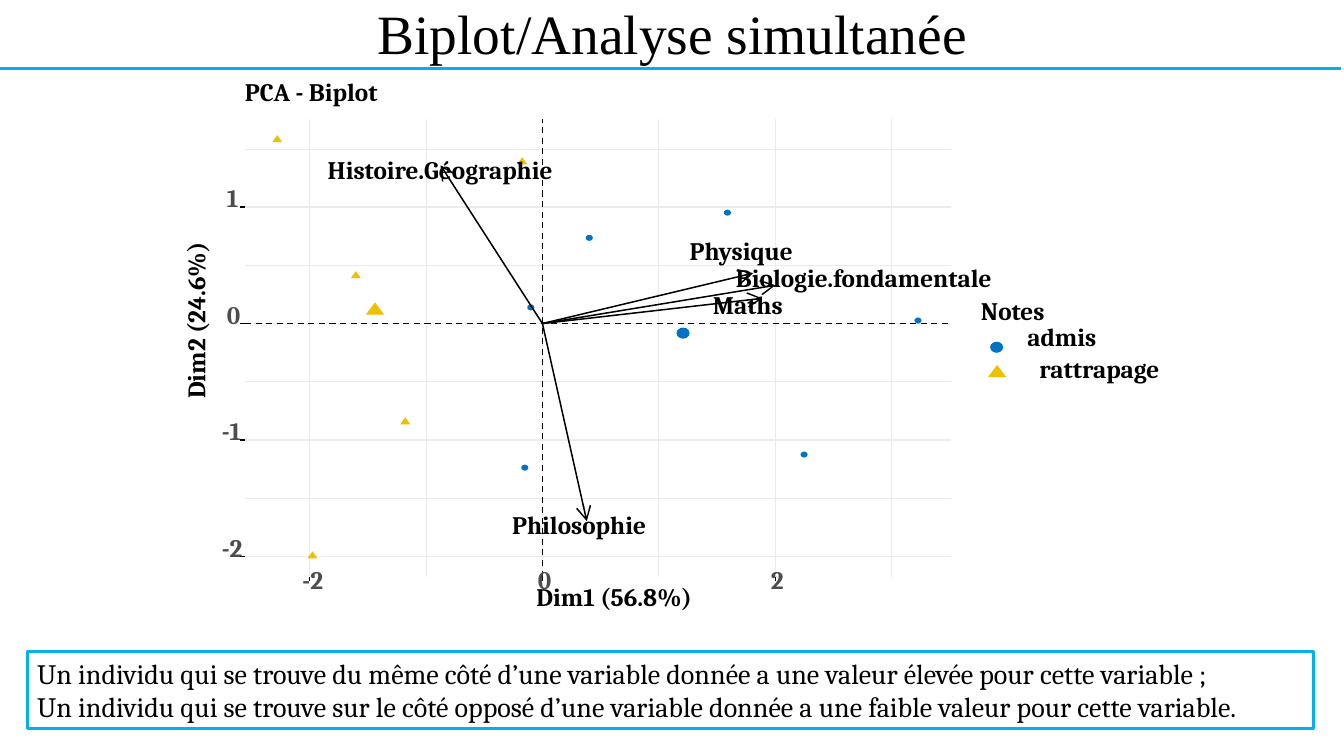
from lxml import etree
from pptx import Presentation
from pptx.dml.color import RGBColor
from pptx.enum.dml import MSO_LINE as Dash
from pptx.enum.shapes import MSO_CONNECTOR as Link, MSO_SHAPE as Shape
from pptx.enum.text import MSO_ANCHOR as Anchor, MSO_AUTO_SIZE as Fit, PP_ALIGN as Align
from pptx.oxml.ns import qn
from pptx.util import Emu, Pt

PX = 9144  # one px is a hundredth of an inch
BLACK, WHITE, GREY, GRID = "000000", "FFFFFF", "4D4D4D", "EBEBEB"
SKY, BLUE, GOLD = "00B0F0", "0073C2", "EFC000"

# Plot area, and the place of the value 0 with the length of one unit
LEFT, TOP, RIGHT, BASE = 243, 118, 943, 572
ZERO_X, ZERO_Y, UNIT = 538, 321, 115.5

# Left and top of each mark
ADMIS = [(718, 208), (907, 315), (794, 448), (581, 233), (517, 461), (523, 302)]
RATTRAPAGE = [(270, 134), (397, 414), (305, 547), (513, 156), (348, 269)]
DOT, BIG_DOT = (7, 6), (13, 11)
PEAK, BIG_PEAK = (10, 7), (18, 12)

TIPS = [(756, 296), (437, 164), (582, 517), (747, 271), (769, 283)]
SUBJECTS = [
    ("Maths", 707, 303, 57, 12),
    ("Histoire.Géographie", 325, 167, 185, 16),
    ("Philosophie", 508, 520, 108, 15),
    ("Physique", 684, 248, 86, 16),
    ("Biologie.fondamentale", 730, 274, 206, 16),
]
NOTE = [
    "Un individu qui se trouve du même côté d’une variable donnée a une valeur élevée pour cette variable ;",
    "Un individu qui se trouve sur le côté opposé d’une variable donnée a une faible valeur pour cette variable.",
]


def px(*nums):
    return [Emu(round(n * PX)) for n in nums]


def hue(code):
    return RGBColor.from_string(code)


def at_x(value):
    return ZERO_X + value * UNIT


def at_y(value):
    return ZERO_Y - value * UNIT


def style(para, size, name, color=BLACK, bold=False):
    for run in para.runs:
        font = run.font
        font.size, font.name, font.bold = Pt(size), name, bold
        font.color.rgb = hue(color)


def line(slide, x1, y1, x2, y2, color=BLACK, width=1.07, dash=False, arrow=False):
    link = slide.shapes.add_connector(Link.STRAIGHT, *px(x1, y1, x2, y2))
    link.line.color.rgb = hue(color)
    link.line.width = Pt(width)
    if dash:
        link.line.dash_style = Dash.DASH
    if arrow:
        etree.SubElement(link.line._get_or_add_ln(), qn("a:tailEnd"),
                         type="arrow", w="lg", len="lg")
    etree.SubElement(link._element.spPr, qn("a:effectLst"))


def block(slide, kind, x, y, w, h, fill, edge=None, width=0.75):
    item = slide.shapes.add_shape(kind, *px(x, y, w, h))
    item.shadow.inherit = False
    item.fill.solid()
    item.fill.fore_color.rgb = hue(fill)
    if edge:
        item.line.color.rgb = hue(edge)
        item.line.width = Pt(width)
    else:
        item.line.fill.background()
    return item


def dot(slide, spot, size=DOT):
    block(slide, Shape.OVAL, *spot, *size, BLUE)


def peak(slide, spot, size=PEAK):
    block(slide, Shape.ISOSCELES_TRIANGLE, *spot, *size, GOLD)


def label(slide, text, x, y, w, h, pitch=11, color=BLACK, turn=0):
    box = slide.shapes.add_textbox(*px(x, y, w, h))
    box.rotation = turn
    frame = box.text_frame
    frame.text = text
    frame.word_wrap = False
    frame.auto_size = Fit.NONE
    frame.vertical_anchor = Anchor.MIDDLE
    frame.margin_left = frame.margin_right = 0
    frame.margin_top = frame.margin_bottom = 0
    para = frame.paragraphs[0]
    para.line_spacing = Pt(pitch)
    style(para, 18, "Cambria", color, True)


def header(slide):
    title = slide.shapes.title
    title.left, title.top, title.width, title.height = px(167, 0, 1000, 64)
    frame = title.text_frame
    frame.text = "Biplot/Analyse simultanée"
    frame.auto_size = Fit.NONE
    frame.vertical_anchor = Anchor.MIDDLE
    frame.paragraphs[0].alignment = Align.CENTER
    style(frame.paragraphs[0], 39.6, "Times New Roman")
    line(slide, 0, 68, 1330, 68, SKY, 2.25)


def note(slide):
    box = block(slide, Shape.RECTANGLE, 27, 646, 1276, 77, WHITE, SKY, 2)
    frame = box.text_frame
    frame.word_wrap = True
    frame.vertical_anchor = Anchor.MIDDLE
    frame.text = "\n".join(NOTE)
    for para in frame.paragraphs:
        para.alignment = Align.LEFT
        style(para, 20, "Cambria")


def grid(slide):
    minor = (-1.5, -0.5, 0.5, 1.5), (-1, 1, 3), 0.53
    major = (-2, -1, 0, 1), (-2, 0, 2), 1.07
    for rows, cols, width in (minor, major):
        for row in rows:
            line(slide, LEFT, at_y(row), RIGHT, at_y(row), GRID, width)
        for col in cols:
            line(slide, at_x(col), BASE, at_x(col), TOP, GRID, width)


def axes(slide):
    line(slide, LEFT, ZERO_Y, RIGHT, ZERO_Y, dash=True)
    line(slide, ZERO_X, BASE, ZERO_X, TOP, dash=True)
    for value in (-2, -1, 0, 1):
        wide = 14 if value < 0 else 9
        y = at_y(value)
        label(slide, str(value), 234 - wide, y - 5, wide, 9, 8.8, GREY)
        line(slide, LEFT - 5, y, LEFT, y)
    for value in (-2, 0, 2):
        wide = 14 if value < 0 else 9
        x = at_x(value)
        label(slide, str(value), x - wide / 2, 579, wide, 9, 8.8, GREY)
        line(slide, x, BASE + 4, x, BASE)
    label(slide, "Dim1 (56.8%)", 532, 592, 123, 15)
    label(slide, "Dim2 (24.6%)", 151, 336, 100, 19, turn=270)


def marks(slide):
    for spot in RATTRAPAGE:
        peak(slide, spot)
    for spot in ADMIS:
        dot(slide, spot)
    dot(slide, (671, 325), BIG_DOT)
    peak(slide, (363, 300), BIG_PEAK)


def legend(slide):
    label(slide, "Notes", 973, 309, 53, 12)
    dot(slide, (982, 339), BIG_DOT)
    peak(slide, (980, 362), BIG_PEAK)
    label(slide, "admis", 1019, 338, 43, 10, 8.8)
    label(slide, "rattrapage", 1031, 368, 73, 12, 8.8)


def main():
    deck = Presentation()
    deck.slide_width, deck.slide_height = px(1333, 750)
    slide = deck.slides.add_slide(deck.slide_layouts[5])
    header(slide)
    note(slide)
    block(slide, Shape.RECTANGLE, 186, 84, 921, 535, WHITE, WHITE)
    grid(slide)
    marks(slide)
    for subject in SUBJECTS:
        label(slide, *subject, pitch=11.4)
    for tip in TIPS:
        line(slide, ZERO_X, ZERO_Y, *tip, arrow=True)
    axes(slide)
    legend(slide)
    label(slide, "PCA - Biplot", 243, 88, 131, 18, 13.2)
    deck.save("out.pptx")


if __name__ == "__main__":
    main()
